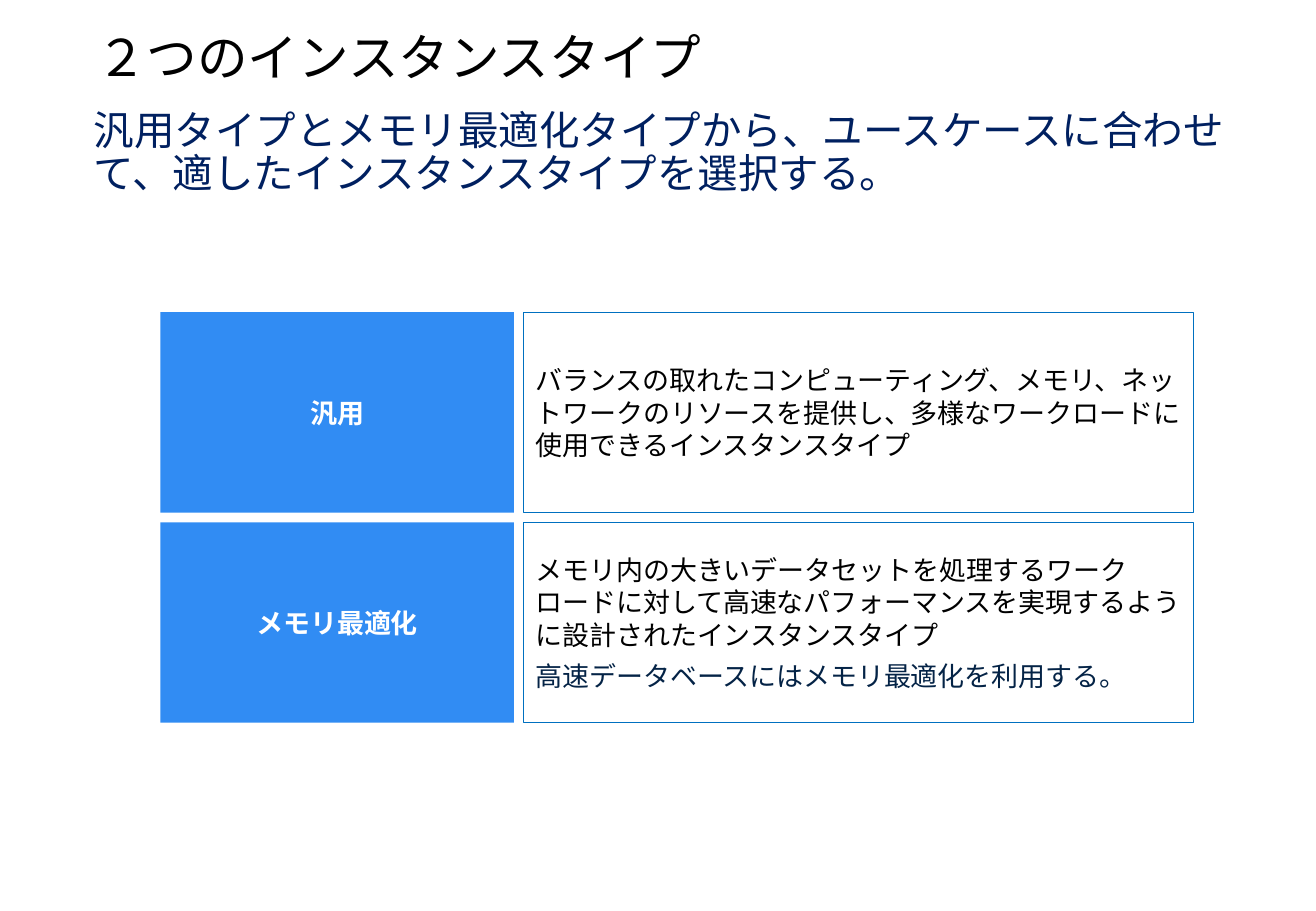
from pptx import Presentation
from pptx.dml.color import RGBColor
from pptx.enum.shapes import MSO_SHAPE
from pptx.enum.text import MSO_ANCHOR, PP_ALIGN
from pptx.oxml.ns import qn
from pptx.util import Inches, Pt
from lxml.etree import SubElement

FONT = "Noto Sans CJK JP"


def color(code):
    return RGBColor.from_string(code)


def write(para, text, size, code, bold=False):
    run = para.add_run()
    run.text = text
    font = run.font
    font.name, font.size, font.bold = FONT, Pt(size), bold
    font.color.rgb = color(code)
    SubElement(font._element, qn("a:ea")).set("typeface", FONT)


deck = Presentation()
deck.slide_width, deck.slide_height = Inches(10.83), Inches(7.5)
slide = deck.slides.add_slide(deck.slide_layouts[5])

# Title
title = slide.shapes.title
title.left, title.top = Inches(0.69), Inches(0.22)
title.width, title.height = Inches(9.45), Inches(0.55)
frame = title.text_frame
frame.vertical_anchor = MSO_ANCHOR.MIDDLE
para = frame.paragraphs[0]
para.alignment = PP_ALIGN.LEFT
para.line_spacing = 0.9
write(para, "２つのインスタンスタイプ", 30, "000000")

# Lead sentence
lead = slide.shapes.add_textbox(
    Inches(0.69), Inches(0.87), Inches(9.69), Inches(0.36))
frame = lead.text_frame
frame.word_wrap = True
frame.margin_left = frame.margin_right = Inches(0.08)
frame.margin_top = frame.margin_bottom = Inches(0.04)
para = frame.paragraphs[0]
para.line_spacing = Pt(25.5)
write(para, "汎用タイプとメモリ最適化タイプから、ユースケースに合わせて、"
      "適したインスタンスタイプを選択する。", 24, "002060")

# Type grid: one row per type, name on the left, details on the right
LEFT, TOP, GAP = 1.32, 2.57, 0.08
NAME, NOTE, HIGH = 2.91, 5.51, 1.65
rows = [
    ("汎用", [
        ("バランスの取れたコンピューティング、メモリ、ネットワークの"
         "リソースを提供し、多様なワークロードに使用できるインスタンスタイプ",
         "000000")]),
    ("メモリ最適化", [
        ("メモリ内の大きいデータセットを処理するワークロードに対して"
         "高速なパフォーマンスを実現するように設計されたインスタンスタイプ",
         "000000"),
        ("高速データベースにはメモリ最適化を利用する。", "042346")]),
]
for row, (name, notes) in enumerate(rows):
    cells = [
        (LEFT, NAME, "318CF3", None, PP_ALIGN.CENTER, [(name, "FFFFFF")]),
        (LEFT + NAME + GAP, NOTE, "FFFFFF", "0070C0", PP_ALIGN.LEFT, notes),
    ]
    for left, wide, fill, edge, align, texts in cells:
        box = slide.shapes.add_shape(
            MSO_SHAPE.RECTANGLE, Inches(left),
            Inches(TOP + row * (HIGH + GAP)), Inches(wide), Inches(HIGH))
        box.shadow.inherit = False
        box.fill.solid()
        box.fill.fore_color.rgb = color(fill)
        if edge:
            box.line.color.rgb = color(edge)
            box.line.width = Pt(0.75)
        else:
            box.line.fill.background()
        frame = box.text_frame
        frame.word_wrap = True
        frame.vertical_anchor = MSO_ANCHOR.MIDDLE
        for i, (text, code) in enumerate(texts):
            para = frame.add_paragraph() if i else frame.paragraphs[0]
            para.alignment = align
            para.line_spacing = Pt(19.2)
            if i:
                para.space_before = Pt(5)
            write(para, text, 16, code, bold=not edge)

deck.save("out.pptx")
